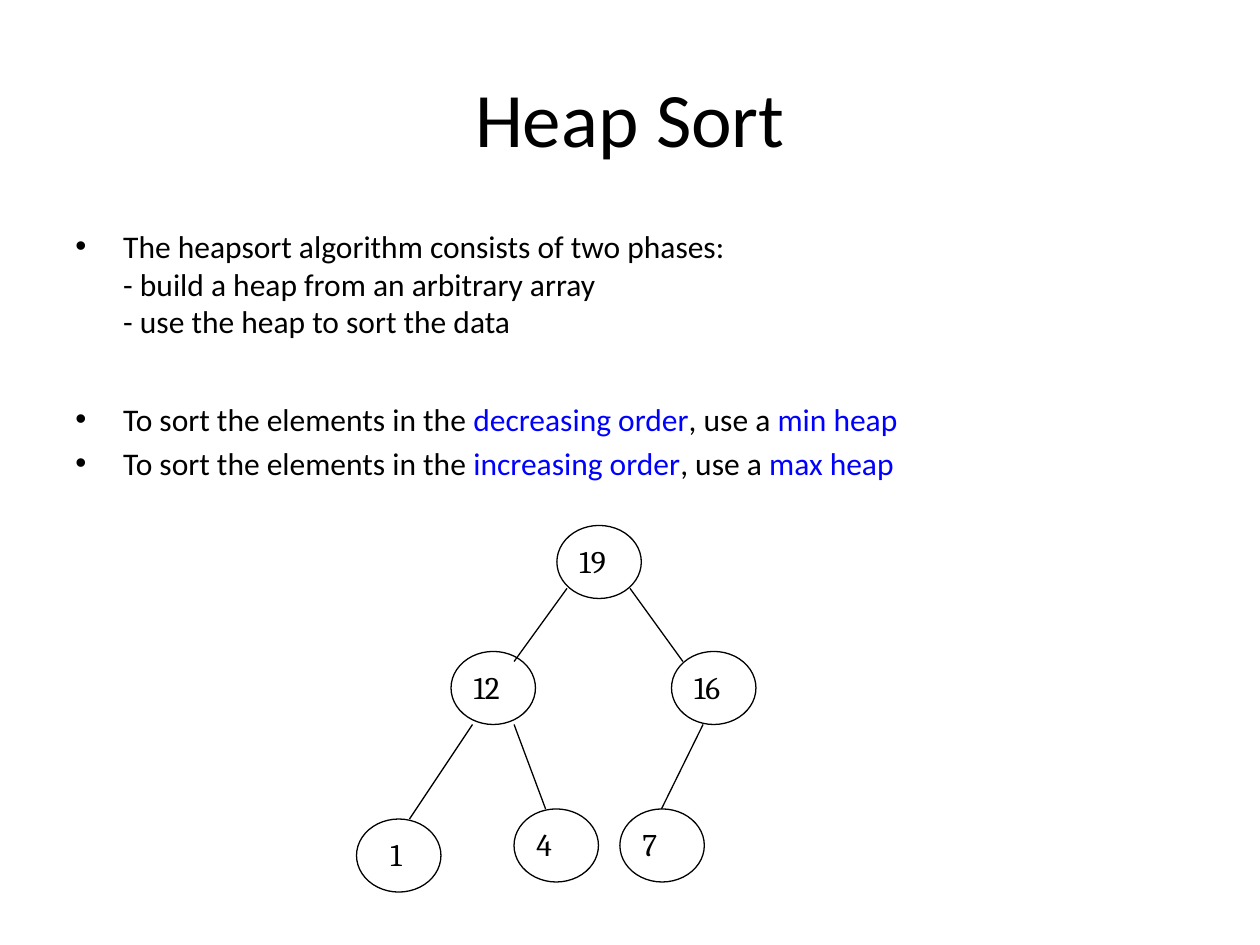
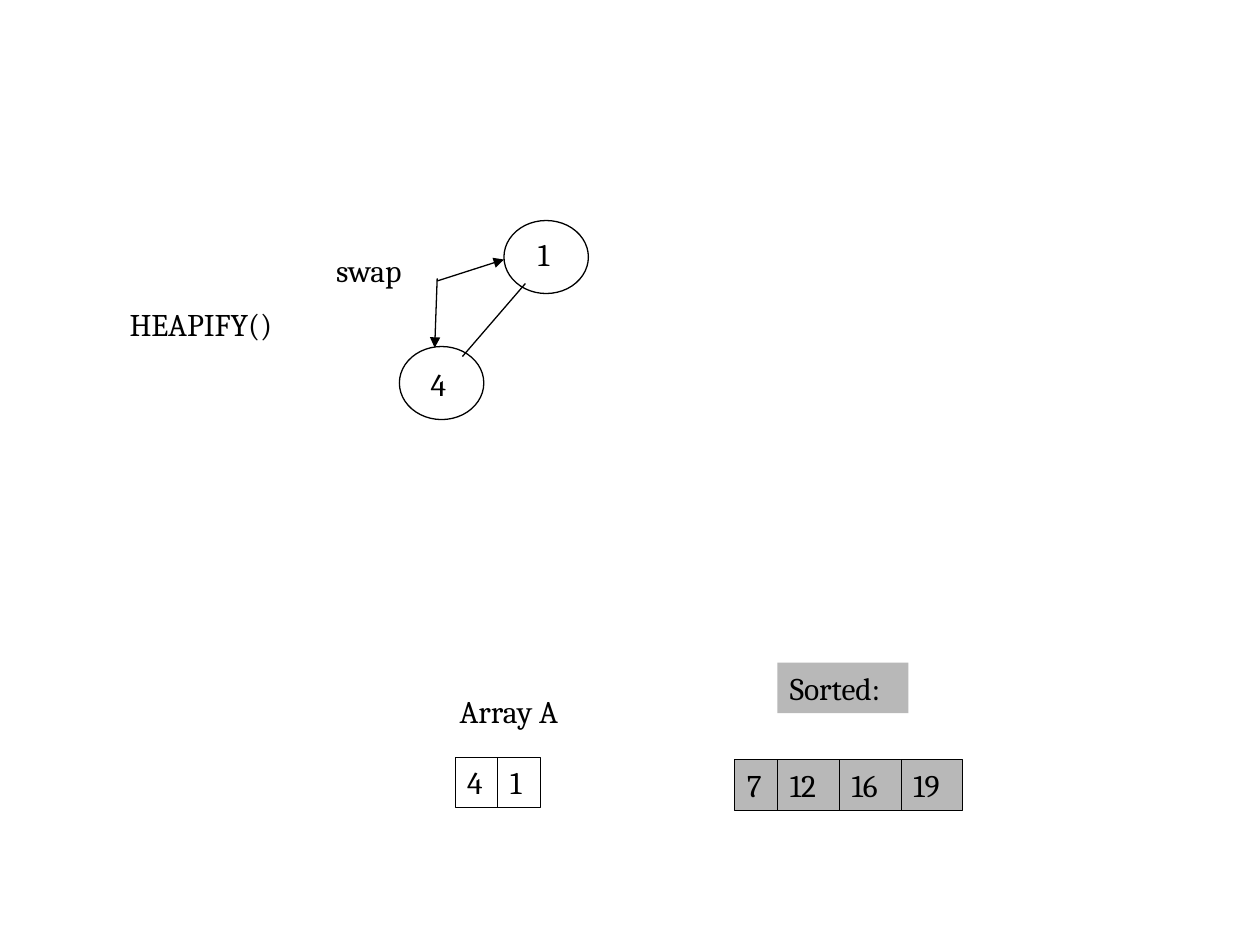
from lxml import etree
from pptx import Presentation
from pptx.dml.color import RGBColor
from pptx.enum import shapes, text
from pptx.oxml import ns
from pptx.util import Inches, Pt

BLACK, BLUE, GREY = "000000", "0000FF", "B8B8B8"
TITLE_FONT, LABEL_FONT = "Calibri", "Cambria"
NODE_WIDTH, NODE_HEIGHT = 0.67, 0.58
LABEL_HEIGHT = 0.4
DIGIT_WIDTH, NUMBER_WIDTH = 0.34, 0.49


def color(value):
    """Turn a hex string into a colour."""
    return RGBColor.from_string(value)


def write(paragraph, content, font=LABEL_FONT, size=18, accent=BLUE,
          align=text.PP_ALIGN.LEFT):
    """Write text in a paragraph; parts between asterisks take the accent colour."""
    paragraph.alignment = align
    for line_index, line in enumerate(content.split("\n")):
        if line_index:
            paragraph.add_line_break()
        for part_index, part in enumerate(line.split("*")):
            if part:
                run = paragraph.add_run()
                run.text = part
                run.font.name = font
                run.font.size = Pt(size)
                run.font.color.rgb = color(accent if part_index % 2 else BLACK)


def add_title(slide, content):
    """Place and format the title placeholder."""
    title = slide.shapes.title
    title.left, title.top = Inches(0.5), Inches(0.3)
    title.width, title.height = Inches(9), Inches(1.25)
    title.text_frame.vertical_anchor = text.MSO_ANCHOR.MIDDLE
    write(title.text_frame.paragraphs[0], content, font=TITLE_FONT, size=44,
          align=text.PP_ALIGN.CENTER)


def add_bullets(slide, left, top, width, height, items):
    """Add a bulleted list from pairs of text and space before in points."""
    box = slide.shapes.add_textbox(Inches(left), Inches(top), Inches(width), Inches(height))
    frame = box.text_frame
    frame.word_wrap = True
    for index, (content, space_before) in enumerate(items):
        paragraph = frame.add_paragraph() if index else frame.paragraphs[0]
        write(paragraph, content, font=TITLE_FONT)
        paragraph.space_before = Pt(space_before)
        properties = paragraph._p.get_or_add_pPr()
        properties.set("marL", str(Inches(0.38)))
        properties.set("indent", str(Inches(-0.38)))
        font = etree.SubElement(properties, ns.qn("a:buFont"))
        font.set("typeface", "Arial")
        bullet = etree.SubElement(properties, ns.qn("a:buChar"))
        bullet.set("char", "•")


def add_shape(slide, kind, left, top, width, height, fill=None, line_width=None):
    """Add a plain preset shape with an optional fill and outline."""
    shape = slide.shapes.add_shape(kind, Inches(left), Inches(top), Inches(width), Inches(height))
    shape.shadow.inherit = False
    if fill:
        shape.fill.solid()
        shape.fill.fore_color.rgb = color(fill)
    else:
        shape.fill.background()
    if line_width:
        shape.line.color.rgb = color(BLACK)
        shape.line.width = Pt(line_width)
    else:
        shape.line.fill.background()
    return shape


def fit_label(shape, content):
    """Write one unwrapped line of text in a shape."""
    frame = shape.text_frame
    frame.word_wrap = False
    frame.auto_size = text.MSO_AUTO_SIZE.SHAPE_TO_FIT_TEXT
    write(frame.paragraphs[0], content)


def add_label(slide, left, top, width, content):
    """Add a one-line text box."""
    box = slide.shapes.add_textbox(Inches(left), Inches(top), Inches(width), Inches(LABEL_HEIGHT))
    fit_label(box, content)


def add_box(slide, left, top, width, content, fill=None, line_width=None):
    """Add a one-line labelled rectangle."""
    box = add_shape(slide, shapes.MSO_SHAPE.RECTANGLE, left, top, width, LABEL_HEIGHT,
                    fill, line_width)
    fit_label(box, content)


def number_width(value):
    """Give the width of a cell or label for a number."""
    return DIGIT_WIDTH if value < 10 else NUMBER_WIDTH


def add_node(slide, value, left, top, shift=(0.08, 0.08)):
    """Add a heap node with its number."""
    add_shape(slide, shapes.MSO_SHAPE.OVAL, left, top, NODE_WIDTH, NODE_HEIGHT, line_width=0.75)
    add_label(slide, left + shift[0], top + shift[1], number_width(value), str(value))


def add_array(slide, left, top, values, fill=None):
    """Add a row of adjoining array cells."""
    for value in values:
        width = number_width(value)
        add_box(slide, left, top, width, str(value), fill, line_width=0.25)
        left += width


def add_line(slide, start, end, arrow=False):
    """Add a straight line, with an arrowhead at its end if asked."""
    points = [Inches(length) for length in (*start, *end)]
    connector = slide.shapes.add_connector(shapes.MSO_CONNECTOR.STRAIGHT, *points)
    connector.line.color.rgb = color(BLACK)
    connector.line.width = Pt(0.75)
    if arrow:
        head = etree.SubElement(connector.line._get_or_add_ln(), ns.qn("a:tailEnd"))
        head.set("type", "triangle")
    etree.SubElement(connector._element.spPr, ns.qn("a:effectLst"))


def build_heap_sort(presentation):
    """Build the slide on the two phases and the sample max heap."""
    slide = presentation.slides.add_slide(presentation.slide_layouts[5])
    add_title(slide, "Heap Sort")
    add_bullets(slide, 0.5, 1.75, 9, 5.42, [
        ("The heapsort algorithm consists of two phases:\n"
         "- build a heap from an arbitrary array\n"
         "- use the heap to sort the data", 0),
        ("To sort the elements in the *decreasing order*, use a *min heap*", 34),
        ("To sort the elements in the *increasing order*, use a *max heap*", 3.6),
    ])
    for value, left, top in [(19, 4.42, 4.17), (12, 3.58, 5.17), (16, 5.33, 5.17),
                             (4, 4.08, 6.42), (7, 4.92, 6.42)]:
        add_node(slide, value, left, top)
    add_node(slide, 1, 2.83, 6.5, shift=(0.17, 0.08))
    for start, end in [((4.5, 4.67), (4.08, 5.25)), ((5, 4.67), (5.42, 5.25)),
                       ((3.75, 5.75), (3.25, 6.5)), ((4.08, 5.75), (4.33, 6.42)),
                       ((5.58, 5.75), (5.25, 6.42))]:
        add_line(slide, start, end)


def build_heapify_step(presentation):
    """Build the slide on the last swap and the sorted part of the array."""
    slide = presentation.slides.add_slide(presentation.slide_layouts[6])
    add_node(slide, 1, 4, 1.75, shift=(0.17, 0.07))
    add_node(slide, 4, 3.17, 2.75, shift=(0.15, 0.1))
    add_line(slide, (4.17, 2.25), (3.67, 2.83))
    add_line(slide, (3.47, 2.21), (3.45, 2.76), arrow=True)
    add_line(slide, (3.47, 2.23), (4, 2.06), arrow=True)
    add_label(slide, 2.57, 1.94, 0.8, "swap")
    add_label(slide, 0.93, 2.37, 1.56, "HEAPIFY()")
    add_label(slide, 3.55, 5.44, 1.14, "Array A")
    add_array(slide, 3.61, 6.01, [4, 1])
    add_box(slide, 6.17, 5.26, 1.04, "Sorted:", fill=GREY)
    add_array(slide, 5.83, 6.03, [7, 12, 16, 19], fill=GREY)


def main():
    """Build and save the presentation."""
    presentation = Presentation()
    presentation.slide_width, presentation.slide_height = Inches(10), Inches(7.5)
    build_heap_sort(presentation)
    build_heapify_step(presentation)
    presentation.save("out.pptx")


if __name__ == "__main__":
    main()
